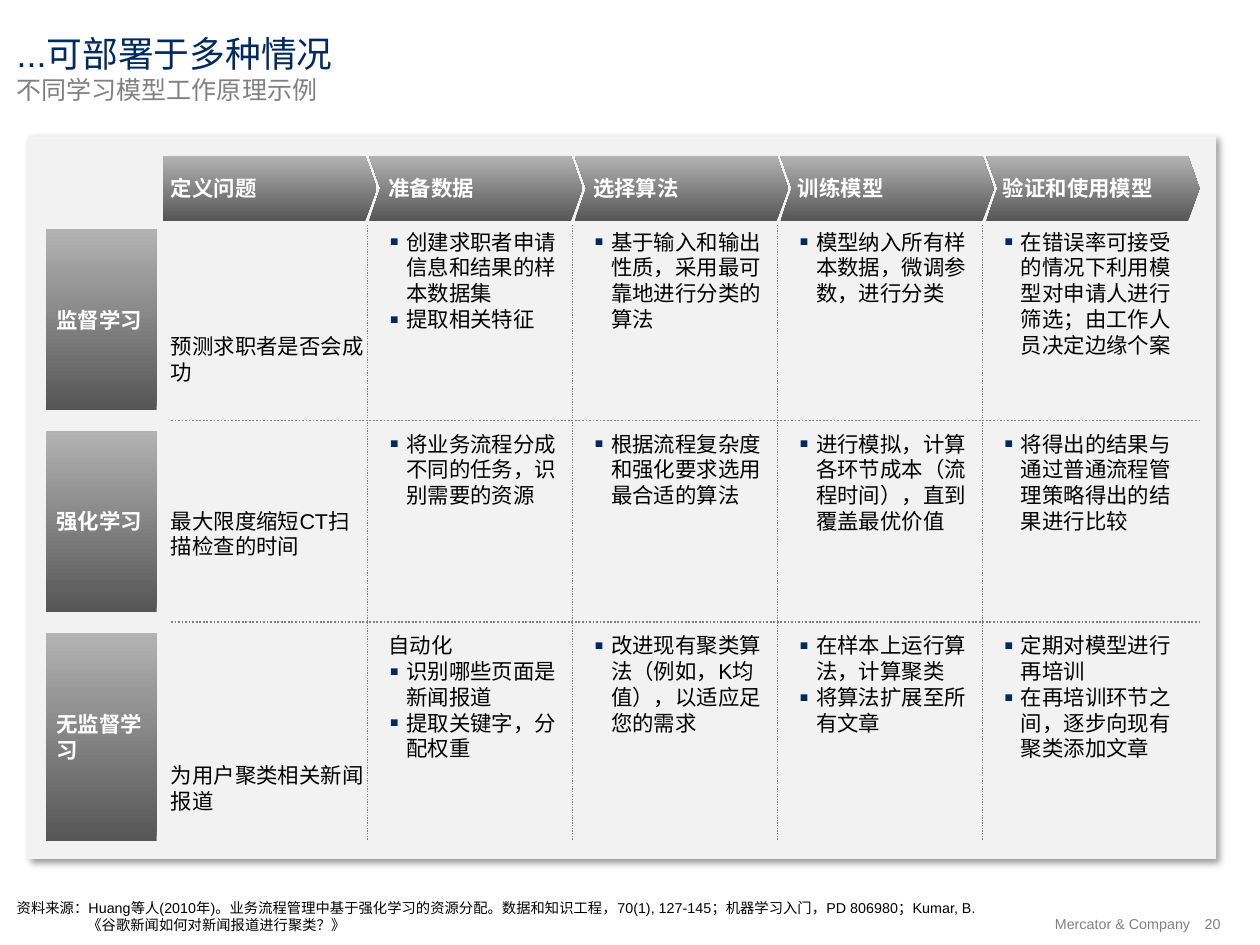
from dataclasses import dataclass

from lxml import etree
from pptx import Presentation
from pptx.dml.color import RGBColor
from pptx.enum.dml import MSO_LINE
from pptx.enum.shapes import MSO_CONNECTOR, MSO_SHAPE
from pptx.enum.text import MSO_ANCHOR, MSO_AUTO_SIZE, PP_ALIGN
from pptx.oxml import parse_xml
from pptx.oxml.ns import nsdecls, qn
from pptx.util import Inches, Pt

RECTANGLE = MSO_SHAPE.RECTANGLE
STRAIGHT = MSO_CONNECTOR.STRAIGHT
DOTTED = MSO_LINE.ROUND_DOT
TOP, MIDDLE = MSO_ANCHOR.TOP, MSO_ANCHOR.MIDDLE
LEFT, RIGHT = PP_ALIGN.LEFT, PP_ALIGN.RIGHT
NO_FIT = MSO_AUTO_SIZE.NONE

COLORS = {
    "navy": "002960", "gray": "808080", "black": "000000", "white": "FFFFFF",
    "panel": "F2F2F2", "dark": "565656", "light": "B3B3B3",
}
FONT = "Arial"
COLUMN_PITCH = 4.78 / 3
CHEVRON_PITCH = 1.6
PROBLEM_LEFT, LIST_LEFT = 1.33, 3.02
CHEVRON_LEFT, CHEVRON_TOP, CHEVRON_HEIGHT = 1.27, 1.21, 0.51
CHEVRON_BODY, CHEVRON_TIP = 1.57, 0.09
LABEL_LEFT, LABEL_WIDTH = 0.36, 0.86
STEPS = ["定义问题", "准备数据", "选择算法", "训练模型", "验证和使用模型"]


@dataclass
class LearningModel:
    """One row of the grid; text in plain lists takes bullets."""
    name: str
    top: float
    height: float
    problem: str
    problem_top: float
    cells: list[list[str]]
    intro: str = ""


MODELS = [
    LearningModel("监督学习", 1.78, 1.41, "预测求职者是否会成功", 2.59, [
        ["创建求职者申请信息和结果的样本数据集", "提取相关特征"],
        ["基于输入和输出性质，采用最可靠地进行分类的算法"],
        ["模型纳入所有样本数据，微调参数，进行分类"],
        ["在错误率可接受的情况下利用模型对申请人进行筛选；由工作人员决定边缘个案"],
    ]),
    LearningModel("强化学习", 3.35, 1.41, "最大限度缩短CT扫描检查的时间", 3.95, [
        ["将业务流程分成不同的任务，识别需要的资源"],
        ["根据流程复杂度和强化要求选用最合适的算法"],
        ["进行模拟，计算各环节成本（流程时间），直到覆盖最优价值"],
        ["将得出的结果与通过普通流程管理策略得出的结果进行比较"],
    ]),
    LearningModel("无监督学习", 4.92, 1.62, "为用户聚类相关新闻报道", 5.93, [
        ["自动化", "识别哪些页面是新闻报道", "提取关键字，分配权重"],
        ["改进现有聚类算法（例如，K均值），以适应足您的需求"],
        ["在样本上运行算法，计算聚类", "将算法扩展至所有文章"],
        ["定期对模型进行再培训", "在再培训环节之间，逐步向现有聚类添加文章"],
    ], intro="自动化"),
]


def rgb(name: str) -> RGBColor:
    """Look up a named colour."""
    return RGBColor.from_string(COLORS[name])


def add_bullet(paragraph) -> None:
    """Give a paragraph a hanging square bullet."""
    properties = paragraph._p.get_or_add_pPr()
    properties.set("marL", str(Inches(0.14)))
    properties.set("indent", str(Inches(-0.13)))
    color = etree.SubElement(properties, qn("a:buClr"))
    etree.SubElement(color, qn("a:srgbClr"), val=COLORS["navy"])
    etree.SubElement(properties, qn("a:buSzPct"), val="125000")
    etree.SubElement(properties, qn("a:buFont"), typeface=FONT)
    etree.SubElement(properties, qn("a:buChar"), char="▪")


def write_text(shape, lines: list[str], *, size=12, color="black", bold=False,
               anchor=TOP, align=LEFT, insets=(0, 0, 0, 0), bullets=False,
               intro="", hanging=0.0) -> None:
    """Fill a shape with formatted paragraphs."""
    frame = shape.text_frame
    frame.word_wrap = True
    frame.auto_size = NO_FIT
    frame.vertical_anchor = anchor
    (frame.margin_left, frame.margin_top,
     frame.margin_right, frame.margin_bottom) = map(Inches, insets)
    for index, line in enumerate(lines):
        paragraph = frame.add_paragraph() if index else frame.paragraphs[0]
        if bullets and line != intro:
            add_bullet(paragraph)
        if hanging:
            properties = paragraph._p.get_or_add_pPr()
            properties.set("marL", str(Inches(hanging)))
            properties.set("indent", str(Inches(-hanging)))
        paragraph.alignment = align
        run = paragraph.add_run()
        run.text = line
        run.font.name = FONT
        run.font.size = Pt(size)
        run.font.bold = bold
        run.font.color.rgb = rgb(color)


def add_text(slide, box: tuple, lines: list[str], **style) -> None:
    """Place a text box."""
    write_text(slide.shapes.add_textbox(*map(Inches, box)), lines, **style)


def paint_gradient(shape) -> None:
    """Shade a shape from dark at the bottom to light at the top."""
    shape.shadow.inherit = False
    shape.line.fill.background()
    shape.fill.gradient()
    shape.fill.gradient_angle = 90
    for stop, color in zip(shape.fill.gradient_stops, ("dark", "light")):
        stop.color.rgb = rgb(color)


def add_dotted_line(slide, start: tuple, end: tuple, width: float) -> None:
    """Draw a dotted grid line."""
    connector = slide.shapes.add_connector(STRAIGHT, *map(Inches, start + end))
    connector.line.color.rgb = rgb("gray")
    connector.line.width = Pt(width)
    connector.line.dash_style = DOTTED
    etree.SubElement(connector._element.spPr, qn("a:effectLst"))


def add_panel(slide) -> None:
    """Draw the shadowed backing panel."""
    panel = slide.shapes.add_shape(RECTANGLE, *map(Inches, (0.22, 1.06, 9.24, 5.62)))
    panel.fill.solid()
    panel.fill.fore_color.rgb = rgb("panel")
    panel.line.fill.background()
    panel._element.spPr.append(parse_xml(
        f'<a:effectLst {nsdecls("a")}><a:outerShdw blurRad="{Pt(4)}" dist="{Pt(3)}" '
        'dir="2700000" algn="tl" rotWithShape="0"><a:srgbClr val="000000">'
        '<a:alpha val="40000"/></a:srgbClr></a:outerShdw></a:effectLst>'))


def add_step(slide, index: int, name: str) -> None:
    """Draw one header chevron with its caption."""
    left = CHEVRON_LEFT + index * CHEVRON_PITCH
    right = left + CHEVRON_BODY
    middle, bottom = CHEVRON_TOP + CHEVRON_HEIGHT / 2, CHEVRON_TOP + CHEVRON_HEIGHT
    notch = left + CHEVRON_TIP if index else left
    outline = [(right, CHEVRON_TOP), (right + CHEVRON_TIP, middle), (right, bottom),
               (left, bottom), (notch, middle)]
    builder = slide.shapes.build_freeform(Inches(left), Inches(CHEVRON_TOP))
    builder.add_line_segments([(Inches(x), Inches(y)) for x, y in outline], close=True)
    paint_gradient(builder.convert_to_shape())
    text_left = LIST_LEFT + (index - 1) * COLUMN_PITCH if index else PROBLEM_LEFT
    add_text(slide, (text_left, CHEVRON_TOP, 1.43, CHEVRON_HEIGHT), [name],
             color="white", bold=True, anchor=MIDDLE)


def add_model(slide, model: LearningModel) -> None:
    """Draw one learning model row."""
    label = slide.shapes.add_shape(
        RECTANGLE, *map(Inches, (LABEL_LEFT, model.top, LABEL_WIDTH, model.height)))
    paint_gradient(label)
    write_text(label, [model.name], color="white", bold=True, anchor=MIDDLE,
               insets=(0.08, 0.05, 0.05, 0.05))
    add_text(slide, (PROBLEM_LEFT, model.problem_top, 1.51, 0.4), [model.problem])
    for index, lines in enumerate(model.cells):
        add_text(slide, (LIST_LEFT + index * COLUMN_PITCH, model.top, 1.41, 1.01),
                 lines, bullets=True, intro=model.intro)


def main() -> None:
    """Build and save the slide."""
    presentation = Presentation()
    presentation.slide_width, presentation.slide_height = Inches(9.8), Inches(7.35)
    slide = presentation.slides.add_slide(presentation.slide_layouts[5])
    title = slide.shapes.title
    title.left, title.top, title.width, title.height = map(Inches, (0.13, 0.25, 9.43, 0.34))
    write_text(title, ["...可部署于多种情况"], size=20, color="navy")
    add_text(slide, (0.13, 0.58, 3, 0.24), ["不同学习模型工作原理示例"], size=14, color="gray")
    add_panel(slide)
    for index in range(len(STEPS) - 1):
        x = 2.86 + index * COLUMN_PITCH
        add_dotted_line(slide, (x, 1.75), (x, 6.53), 0.75)
    for index, name in enumerate(STEPS):
        add_step(slide, index, name)
    for model in MODELS:
        add_model(slide, model)
    for model in MODELS[1:]:
        y = model.top - 0.08
        add_dotted_line(slide, (PROBLEM_LEFT, y), (9.33, y), 1)
    add_text(slide, (0.13, 6.99, 7.51, 0.27), [
        "资料来源：Huang等人(2010年)。业务流程管理中基于强化学习的资源分配。数据和知识工程，"
        "70(1), 127-145；机器学习入门，PD 806980；Kumar, B. 《谷歌新闻如何对新闻报道进行聚类？》"],
        size=8, anchor=MIDDLE, hanging=0.55)
    add_text(slide, (7.86, 7.12, 1.4, 0.13), ["Mercator & Company"],
             size=8, color="gray", anchor=MIDDLE, align=RIGHT)
    add_text(slide, (9.37, 7.12, 0.2, 0.13), ["20"], size=8, color="gray", anchor=MIDDLE)
    presentation.save("out.pptx")


if __name__ == "__main__":
    main()
